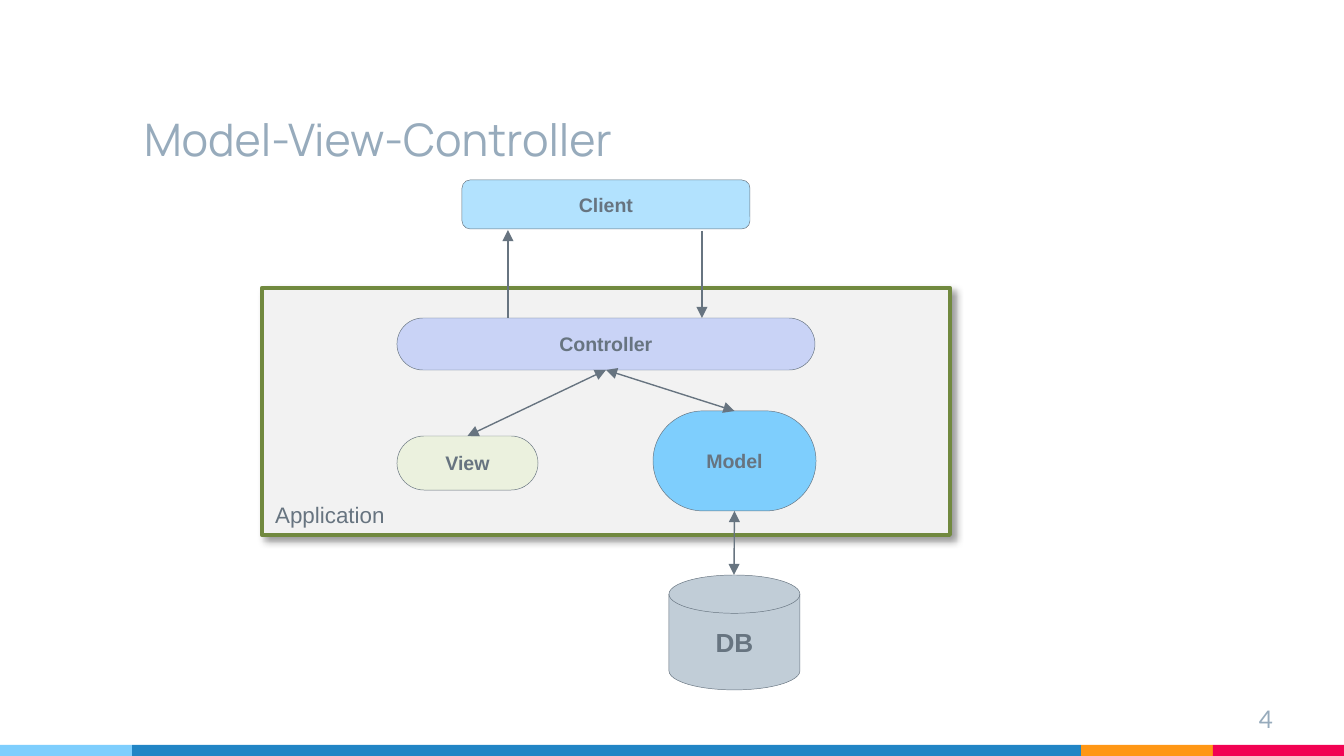
from lxml.etree import SubElement
from pptx import Presentation
from pptx.dml.color import RGBColor
from pptx.enum.shapes import MSO_CONNECTOR, MSO_SHAPE
from pptx.enum.text import MSO_ANCHOR, PP_ALIGN
from pptx.oxml.ns import qn
from pptx.util import Pt

PX = 914400 / 134.4
WIDTH, HEIGHT = 1344, 756

THEME = {
    "ink": "677480", "muted": "97ABBC", "frame": "71893F", "panel": "F2F2F2",
    "client": "B2E2FE", "view": "EBF1DE", "model": "7ECEFD",
    "controller": "C9D3F6", "db": "C1CDD7", "shadow": "000000",
    "bars": ["7ECEFD", "2185C5", "FF9715", "F20253"],
    "title": {"name": "Manrope", "size": Pt(24), "bold": False},
    "number": {"name": "Lato", "size": Pt(13)},
    "caption": {"name": "Arial", "size": Pt(12)},
    "label": {"name": "Arial", "size": Pt(10.5), "bold": True},
    "db_label": {"name": "Arial", "size": Pt(14), "bold": True},
}

TITLE = ("Model-View-Controller", (131, 53, 950, 126))
NUMBER = ("4", (1246, 691, 80, 46))
BAR_EDGES = [0, 132, 1081, 1213, WIDTH]
BAR_TOP = 745
APPLICATION = ("Application", (262, 288, 688, 247))
ROUND, DISK = MSO_SHAPE.ROUNDED_RECTANGLE, MSO_SHAPE.FLOWCHART_MAGNETIC_DISK
NODES = [
    ("Client", ROUND, (462, 180, 288, 49), "client", "label", None),
    ("View", ROUND, (397, 436, 141, 54), "view", "label", 0.5),
    ("Model", ROUND, (653, 411, 163, 100), "model", "label", 0.5),
    ("Controller", ROUND, (397, 318, 418, 52), "controller", "label", 0.5),
    ("DB", DISK, (669, 575, 131, 115), "db", "db_label", None),
]
TOP, BOTTOM = 0, 2
ARROWS = [
    ((734, 511), (734, 575), ("Model", BOTTOM), None, True),
    ((468, 436), (606, 370), ("View", TOP), ("Controller", BOTTOM), True),
    ((734, 411), (606, 370), ("Model", TOP), ("Controller", BOTTOM), True),
    ((508, 318), (508, 230), None, None, False),
    ((702, 231), (702, 318), None, None, False),
]


def emu(values):
    return [round(v * PX) for v in values]


def rgb(name):
    return RGBColor.from_string(THEME.get(name, name))


def add_box(kind, box, fill, line=None, width=0.25):
    sp = s.shapes.add_shape(kind, *emu(box))
    sp.shadow.inherit = False
    sp.fill.solid()
    sp.fill.fore_color.rgb = rgb(fill)
    if line:
        sp.line.color.rgb = rgb(line)
        sp.line.width = Pt(width)
    else:
        sp.line.fill.background()
    return sp


def write(sp, text, style, color, align, anchor, inset=None):
    tf = sp.text_frame
    tf.word_wrap = True
    tf.vertical_anchor = anchor
    if inset is not None:
        for side in ("left", "top", "right", "bottom"):
            setattr(tf, f"margin_{side}", round(inset * PX))
    p = tf.paragraphs[0]
    p.alignment = align
    r = p.add_run()
    r.text = text
    for key, value in THEME[style].items():
        setattr(r.font, key, value)
    r.font.color.rgb = rgb(color)


def add_shadow(sp):
    effects = sp._element.spPr.find(qn("a:effectLst"))
    shadow = SubElement(effects, qn("a:outerShdw"), blurRad=str(Pt(4)),
                        dist=str(Pt(3)), dir="2700000", algn="tl", rotWithShape="0")
    color = SubElement(shadow, qn("a:srgbClr"), val=THEME["shadow"])
    SubElement(color, qn("a:alpha"), val="40000")


def add_arrow(start, end, begin_at, end_at, both):
    c = s.shapes.add_connector(MSO_CONNECTOR.STRAIGHT, *emu(start + end))
    if begin_at:
        c.begin_connect(nodes[begin_at[0]], begin_at[1])
    if end_at:
        c.end_connect(nodes[end_at[0]], end_at[1])
    c.line.color.rgb = rgb("ink")
    c.line.width = Pt(0.75)
    ln = c.line._get_or_add_ln()
    for tag in ("a:headEnd", "a:tailEnd") if both else ("a:tailEnd",):
        SubElement(ln, qn(tag), type="triangle")
    SubElement(c._element.spPr, qn("a:effectLst"))


prs = Presentation()
prs.slide_width, prs.slide_height = emu((WIDTH, HEIGHT))
s = prs.slides.add_slide(prs.slide_layouts[5])

for left, right, color in zip(BAR_EDGES, BAR_EDGES[1:], THEME["bars"]):
    add_box(MSO_SHAPE.RECTANGLE, (left, BAR_TOP, right - left, HEIGHT - BAR_TOP), color)

text, box = TITLE
title = s.shapes.title
title.left, title.top, title.width, title.height = emu(box)
write(title, text, "title", "muted", PP_ALIGN.LEFT, MSO_ANCHOR.BOTTOM, 13)

text, box = NUMBER
number = s.shapes.add_textbox(*emu(box))
write(number, text, "number", "muted", PP_ALIGN.LEFT, MSO_ANCHOR.TOP, 13)

text, box = APPLICATION
application = add_box(MSO_SHAPE.RECTANGLE, box, "panel", "frame", 2.25)
add_shadow(application)
write(application, text, "caption", "ink", PP_ALIGN.LEFT, MSO_ANCHOR.BOTTOM)

nodes = {}
for text, kind, box, fill, style, radius in NODES:
    sp = nodes[text] = add_box(kind, box, fill, "ink")
    if radius is not None:
        sp.adjustments[0] = radius
    write(sp, text, style, "ink", PP_ALIGN.CENTER, MSO_ANCHOR.MIDDLE)

for arrow in ARROWS:
    add_arrow(*arrow)

prs.save("out.pptx")
